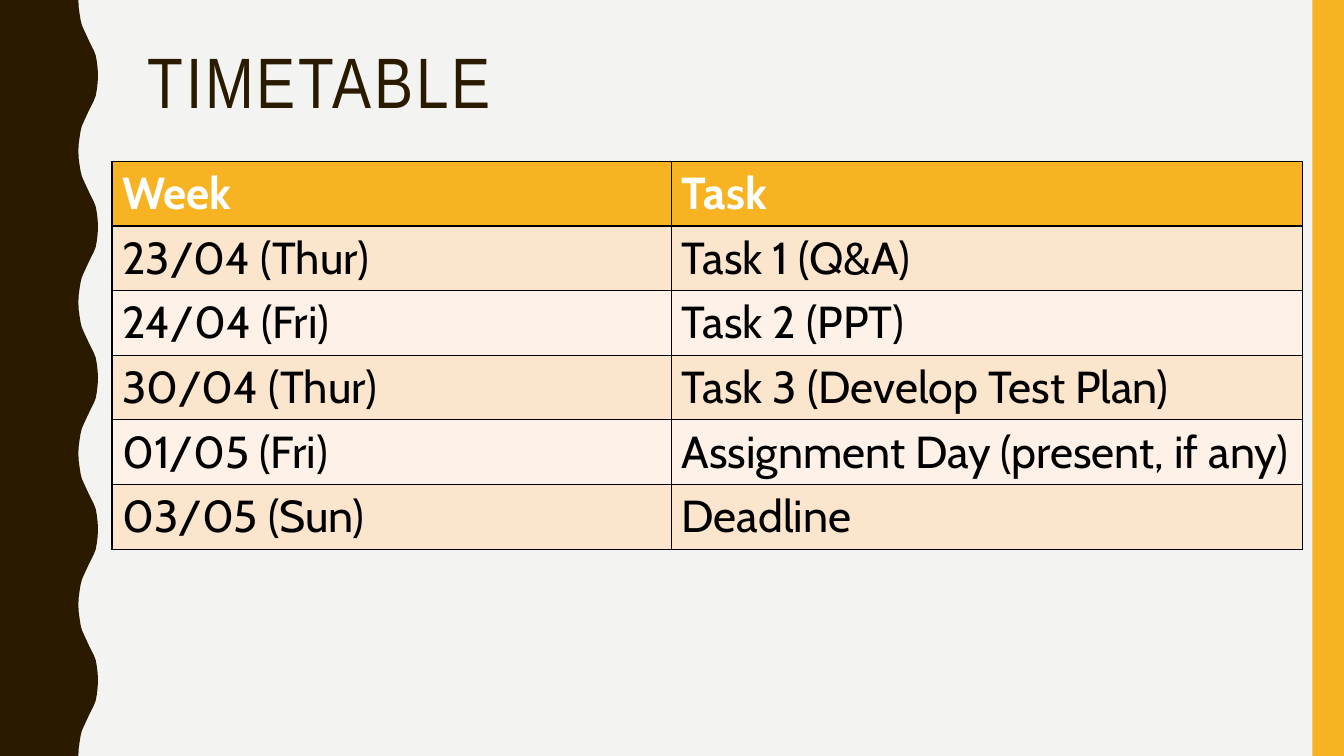
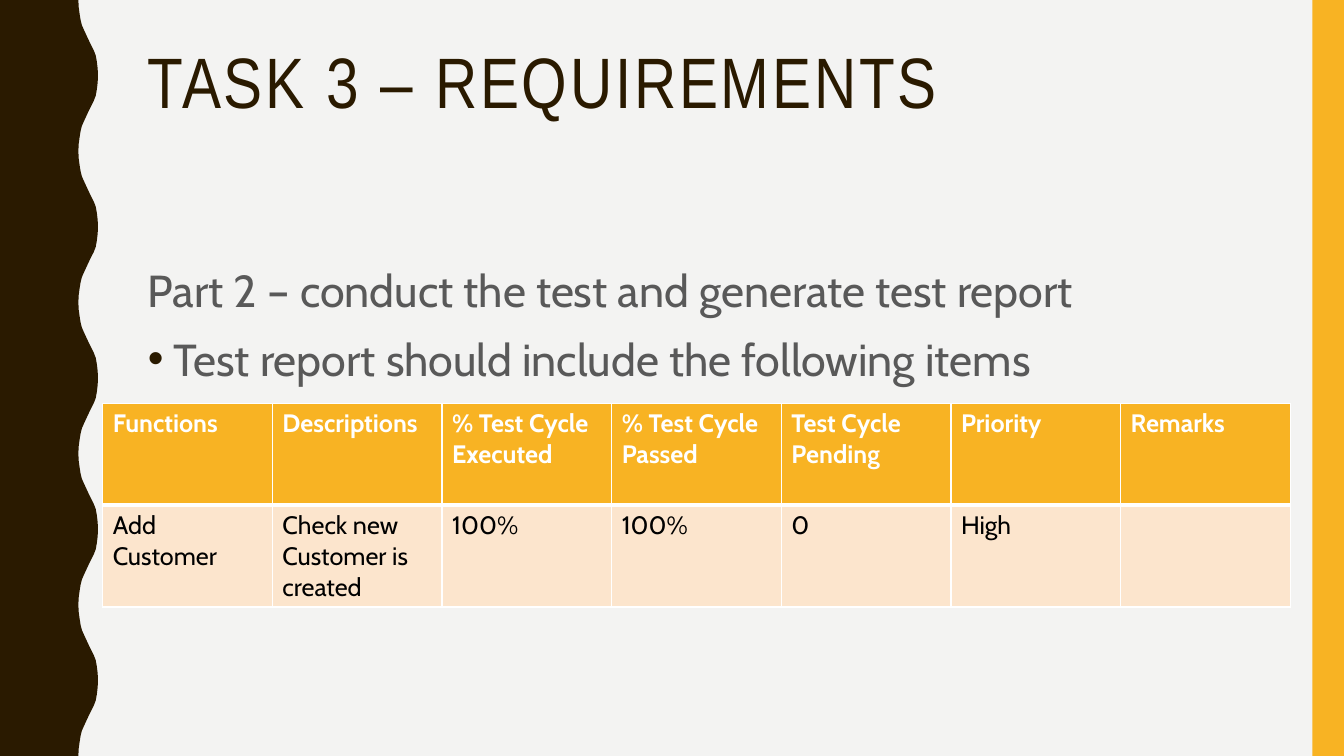
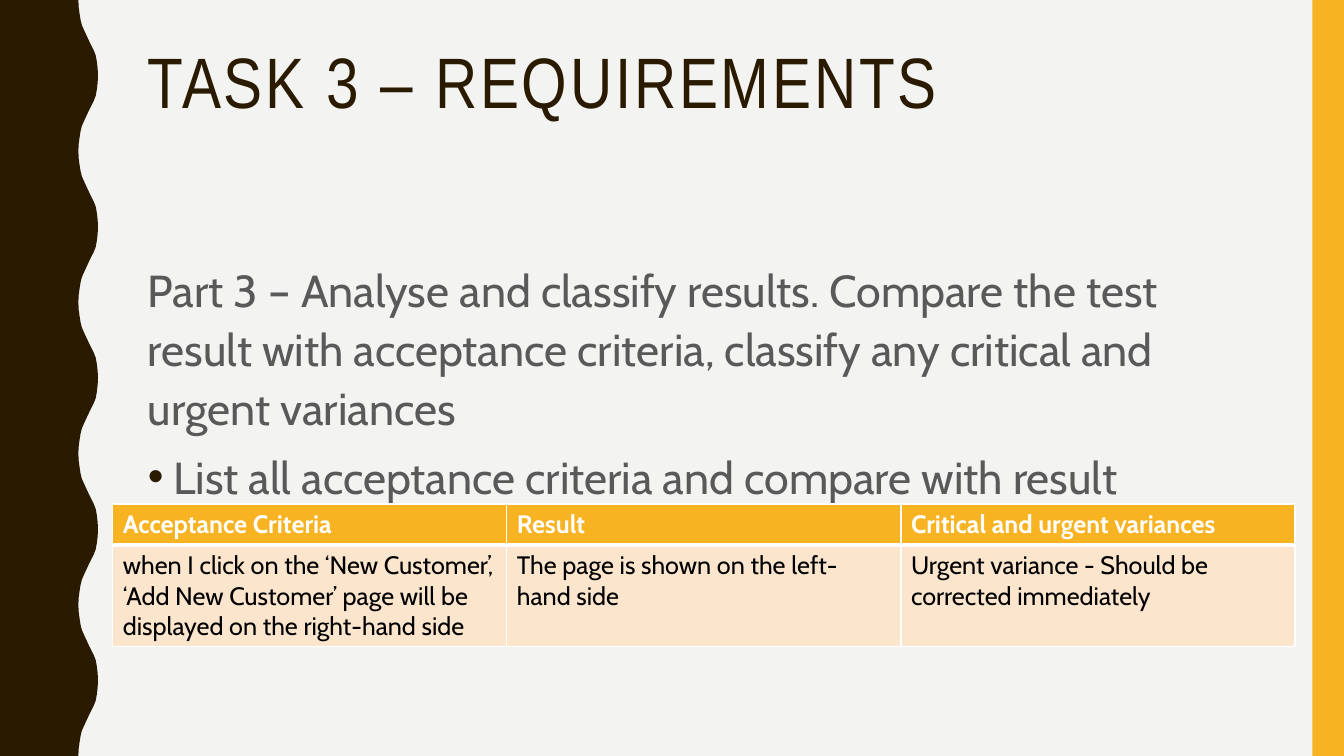
from lxml import etree
from pptx import Presentation
from pptx.dml.color import RGBColor
from pptx.enum.shapes import MSO_SHAPE
from pptx.oxml.ns import qn
from pptx.util import Pt

RECTANGLE = MSO_SHAPE.RECTANGLE

BROWN = RGBColor(0x2A, 0x1A, 0x00)
AMBER = RGBColor(0xF8, 0xB3, 0x23)
PAPER = RGBColor(0xF3, 0xF3, 0xF2)
GREY = RGBColor(0x59, 0x59, 0x59)
BLACK = RGBColor(0x00, 0x00, 0x00)
WHITE = RGBColor(0xFF, 0xFF, 0xFF)
PEACH = RGBColor(0xFC, 0xE5, 0xCD)
CREAM = RGBColor(0xFE, 0xF2, 0xE8)

TITLE_FONT = "Arial Narrow"
BODY_FONT = "Cabin"

SLIDE_W, SLIDE_H = 960, 540
BAR_W = 22.6
TEXT_LEFT, TEXT_W = 98.6, 801.4
TITLE_TOP, TITLE_H = 30.2, 117.4
BODY_TOP, BODY_H = 180, 360

# Valley to crest of the wavy edge, in points
WAVE_RISE = [
    (56, 0), (56.2, 5), (56.9, 10), (57.6, 14.4), (58.5, 18), (59.8, 21),
    (61.2, 24), (62.6, 27), (64, 30), (65.5, 33), (67, 36), (68.4, 39.6),
    (69.2, 44), (69.8, 49), (70, 54),
]
WAVE_PERIOD = 108

SLIDES = [
    {
        "title": "TIMETABLE",
        "table": {
            "left": 80, "top": 115.2, "size": 32,
            "columns": [399.6, 450.7], "heights": [46.2] * 6,
            "border": BLACK, "header_rule": 1,
            "rows": [
                ["Week", "Task"],
                ["23/04 (Thur)", "Task 1 (Q&A)"],
                ["24/04 (Fri)", "Task 2 (PPT)"],
                ["30/04 (Thur)", "Task 3 (Develop Test Plan)"],
                ["01/05 (Fri)", "Assignment Day (present, if any)"],
                ["03/05 (Sun)", "Deadline"],
            ],
        },
    },
    {
        "title": "TASK 3 – REQUIREMENTS",
        "lead": "Part 2 – conduct the test and generate test report",
        "bullet": "Test report should include the following items",
        "table": {
            "left": 73.4, "top": 288, "size": 18,
            "columns": [121.2] * 7, "heights": [72.8, 72.8],
            "border": WHITE, "header_rule": 3,
            "rows": [
                ["Functions", "Descriptions", "% Test Cycle Executed",
                 "% Test Cycle Passed", "Test Cycle Pending", "Priority",
                 "Remarks"],
                ["Add Customer", "Check new Customer is created", "100%",
                 "100%", "0", "High", ""],
            ],
        },
    },
    {
        "title": "TASK 3 – REQUIREMENTS",
        "lead": "Part 3 – Analyse and classify results. Compare the test "
                "result with acceptance criteria, classify any critical and "
                "urgent variances",
        "bullet": "List all acceptance criteria and compare with result",
        "table": {
            "left": 80.6, "top": 360, "size": 18,
            "columns": [281.5] * 3, "heights": [29.2, 72.8],
            "border": WHITE, "header_rule": 3,
            "rows": [
                ["Acceptance Criteria", "Result",
                 "Critical and urgent variances"],
                ["when I click on the ‘New Customer’, ‘Add New Customer’ "
                 "page will be displayed on the right-hand side",
                 "The page is shown on the left-hand side",
                 "Urgent variance - Should be corrected immediately"],
            ],
        },
    },
]


def style_runs(paragraph, font_name, size, color, bold=False):
    for run in paragraph.runs:
        font = run.font
        font.name, font.size, font.bold = font_name, Pt(size), bold
        font.color.rgb = color


def paint(shape, color):
    shape.fill.solid()
    shape.fill.fore_color.rgb = color
    shape.line.fill.background()
    shape.shadow.inherit = False


def add_side_bands(slide):
    """Draw the wavy band on the left and the plain bar on the right."""
    fall = [(x, WAVE_PERIOD - y) for x, y in reversed(WAVE_RISE[:-1])]
    wave = WAVE_RISE + fall[:-1]
    edge = [(x, y + period * WAVE_PERIOD)
            for period in range(SLIDE_H // WAVE_PERIOD) for x, y in wave]
    edge += [(WAVE_RISE[0][0], SLIDE_H), (0, SLIDE_H)]
    builder = slide.shapes.build_freeform(0, 0)
    builder.add_line_segments([(Pt(x), Pt(y)) for x, y in edge], close=True)
    paint(builder.convert_to_shape(), BROWN)
    bar = slide.shapes.add_shape(
        RECTANGLE, Pt(SLIDE_W - BAR_W), 0, Pt(BAR_W), Pt(SLIDE_H))
    paint(bar, AMBER)


def add_text_frame(slide, top, height):
    box = slide.shapes.add_textbox(
        Pt(TEXT_LEFT), Pt(top), Pt(TEXT_W), Pt(height))
    box.text_frame.word_wrap = True
    return box.text_frame


def add_title(slide, title):
    frame = add_text_frame(slide, TITLE_TOP, TITLE_H)
    frame.text = title
    paragraph = frame.paragraphs[0]
    paragraph.line_spacing = 0.9
    style_runs(paragraph, TITLE_FONT, 51, BROWN)
    for run in paragraph.runs:
        run.font._element.set("spc", "200")


def add_bullet(paragraph):
    properties = paragraph._p.get_or_add_pPr()
    properties.set("marL", str(Pt(18)))
    properties.set("indent", str(-Pt(18)))
    color = etree.SubElement(properties, qn("a:buClr"))
    etree.SubElement(color, qn("a:srgbClr"), val=str(BROWN))
    etree.SubElement(properties, qn("a:buFont"), typeface="Arial")
    etree.SubElement(properties, qn("a:buChar"), char="•")


def add_body(slide, lead, bullet):
    frame = add_text_frame(slide, BODY_TOP, BODY_H)
    frame.text = f"{lead}\n{bullet}"
    for paragraph in frame.paragraphs:
        paragraph.line_spacing = 1.1
        paragraph.space_before = Pt(7)
        style_runs(paragraph, BODY_FONT, 32, GREY)
    add_bullet(frame.paragraphs[1])


def set_borders(cell, color, top, bottom):
    properties = cell._tc.get_or_add_tcPr()
    for side, width in (("L", 1), ("R", 1), ("T", top), ("B", bottom)):
        line = etree.SubElement(properties, qn(f"a:ln{side}"), w=str(Pt(width)))
        fill = etree.SubElement(line, qn("a:solidFill"))
        etree.SubElement(fill, qn("a:srgbClr"), val=str(color))


def add_grid(slide, left, top, size, columns, heights, border, header_rule,
             rows):
    table = slide.shapes.add_table(
        len(rows), len(columns), Pt(left), Pt(top),
        Pt(sum(columns)), Pt(sum(heights))).table
    for column, width in zip(table.columns, columns):
        column.width = Pt(width)
    for r, texts in enumerate(rows):
        table.rows[r].height = Pt(heights[r])
        header = r == 0
        fill = AMBER if header else (PEACH if r % 2 else CREAM)
        for c, text in enumerate(texts):
            cell = table.cell(r, c)
            set_borders(cell, border,
                        top=header_rule if r == 1 else 1,
                        bottom=header_rule if header else 1)
            cell.fill.solid()
            cell.fill.fore_color.rgb = fill
            cell.text_frame.text = text
            style_runs(cell.text_frame.paragraphs[0], BODY_FONT, size,
                       WHITE if header else BLACK, bold=header)


def main():
    prs = Presentation()
    prs.slide_width, prs.slide_height = Pt(SLIDE_W), Pt(SLIDE_H)
    background = prs.slide_master.background.fill
    background.solid()
    background.fore_color.rgb = PAPER
    blank = prs.slide_layouts[6]
    for content in SLIDES:
        slide = prs.slides.add_slide(blank)
        add_side_bands(slide)
        add_title(slide, content["title"])
        if "lead" in content:
            add_body(slide, content["lead"], content["bullet"])
        add_grid(slide, **content["table"])
    prs.save("out.pptx")


if __name__ == "__main__":
    main()
